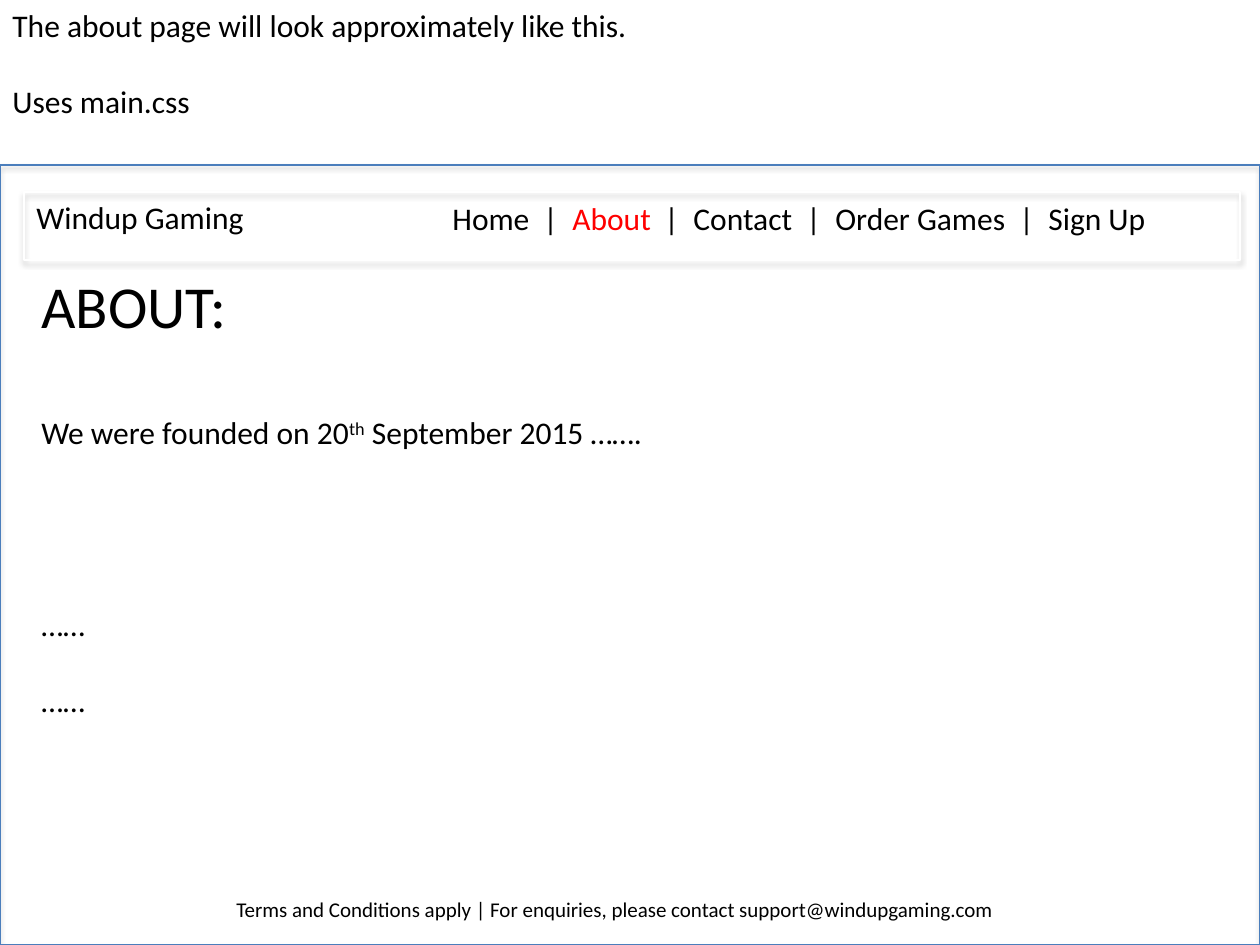
from dataclasses import dataclass

from lxml.etree import SubElement
from pptx import Presentation
from pptx.dml.color import RGBColor as Color
from pptx.enum.shapes import MSO_SHAPE as Shape
from pptx.oxml.ns import qn
from pptx.util import Emu, Pt

PX = 914400 // 126


@dataclass(frozen=True)
class Theme:
    """Colours, font and type sizes of the page."""
    font: str = "Calibri"
    ink: str = "000000"
    active: str = "FF0000"
    frame: str = "4B7EBC"
    bar: str = "FFFFFF"
    title: int = 34
    body: int = 18
    small: int = 12


THEME = Theme()


def add_span(para, text, size=THEME.body, color=THEME.ink, raised=False):
    """Append formatted text to a paragraph."""
    span = para.add_run()
    span.text = text
    span.font.name = THEME.font
    span.font.size = Pt(size)
    span.font.color.rgb = Color.from_string(color)
    if raised:
        span.font._element.set("baseline", "30000")


class Sketch:
    """Draws elements on the current slide."""

    def __init__(self, page):
        """Keep the slide to draw on."""
        self.page = page

    def panel(self, left, top, width, height, line):
        """Add an unfilled rectangle with a soft shadow below."""
        box = self.page.shapes.add_shape(
            Shape.RECTANGLE, *(Emu(n * PX) for n in (left, top, width, height)))
        box.fill.background()
        box.line.color.rgb = Color.from_string(line)
        box.line.width = Pt(0.75)
        box.shadow.inherit = False
        effects = box._element.spPr.find(qn("a:effectLst"))
        shadow = SubElement(effects, qn("a:outerShdw"), blurRad=str(Pt(3.1)),
                            dist=str(Pt(1.8)), dir="5400000", rotWithShape="0")
        tint = SubElement(shadow, qn("a:srgbClr"), val=THEME.ink)
        SubElement(tint, qn("a:alpha"), val="35000")

    def text(self, left, top, width, height, paras, wrap=True, stops=()):
        """Add a text box from (space before, spans) paragraphs."""
        box = self.page.shapes.add_textbox(
            *(Emu(n * PX) for n in (left, top, width, height)))
        frame = box.text_frame
        frame.word_wrap = wrap
        for index, (space, spans) in enumerate(paras):
            para = frame.add_paragraph() if index else frame.paragraphs[0]
            if space:
                para.space_before = Pt(space)
            if stops:
                tabs = SubElement(para._p.get_or_add_pPr(), qn("a:tabLst"))
                for stop in stops:
                    SubElement(tabs, qn("a:tab"), pos=str(stop * PX), algn="l")
            for text, style in spans:
                add_span(para, text, **style)


def main():
    """Build the about page mock-up."""
    deck = Presentation()
    deck.slide_width, deck.slide_height = Emu(1260 * PX), Emu(945 * PX)
    sketch = Sketch(deck.slides.add_slide(deck.slide_layouts[6]))
    line = 22

    sketch.text(0, 0, 649, 165, [
        (0, [("The about page will look approximately like this.", {})]),
        (line, [("Uses main.css", {})]),
    ], wrap=False)
    sketch.panel(0, 165, 1260, 780, THEME.frame)
    sketch.panel(24, 192, 1216, 68, THEME.bar)
    sketch.text(24, 192, 242, 50, [(0, [("Windup Gaming", {})])])

    bars = (91, 212, 354, 567)
    stops = [stop for bar in bars for stop in (bar, bar + 29)]
    sketch.text(440, 193, 800, 50, [(0, [
        ("Home\t|\t", {}),
        ("About", {"color": THEME.active}),
        ("\t|\tContact\t|\tOrder Games\t|\tSign Up", {}),
    ])], stops=stops)

    sketch.text(224, 890, 815, 38, [(0, [
        ("Terms and Conditions apply | For enquiries, please contact "
         "support@windupgaming.com", {"size": THEME.small}),
    ])])
    sketch.text(29, 263, 1210, 462, [
        (0, [("ABOUT:", {"size": THEME.title})]),
        (41.5, [("We were founded on 20", {}), ("th", {"raised": True}),
                (" September 2015 …….", {})]),
        (4 * line, [("……", {})]),
        (line, [("……", {})]),
    ])
    deck.save("out.pptx")


if __name__ == "__main__":
    main()
